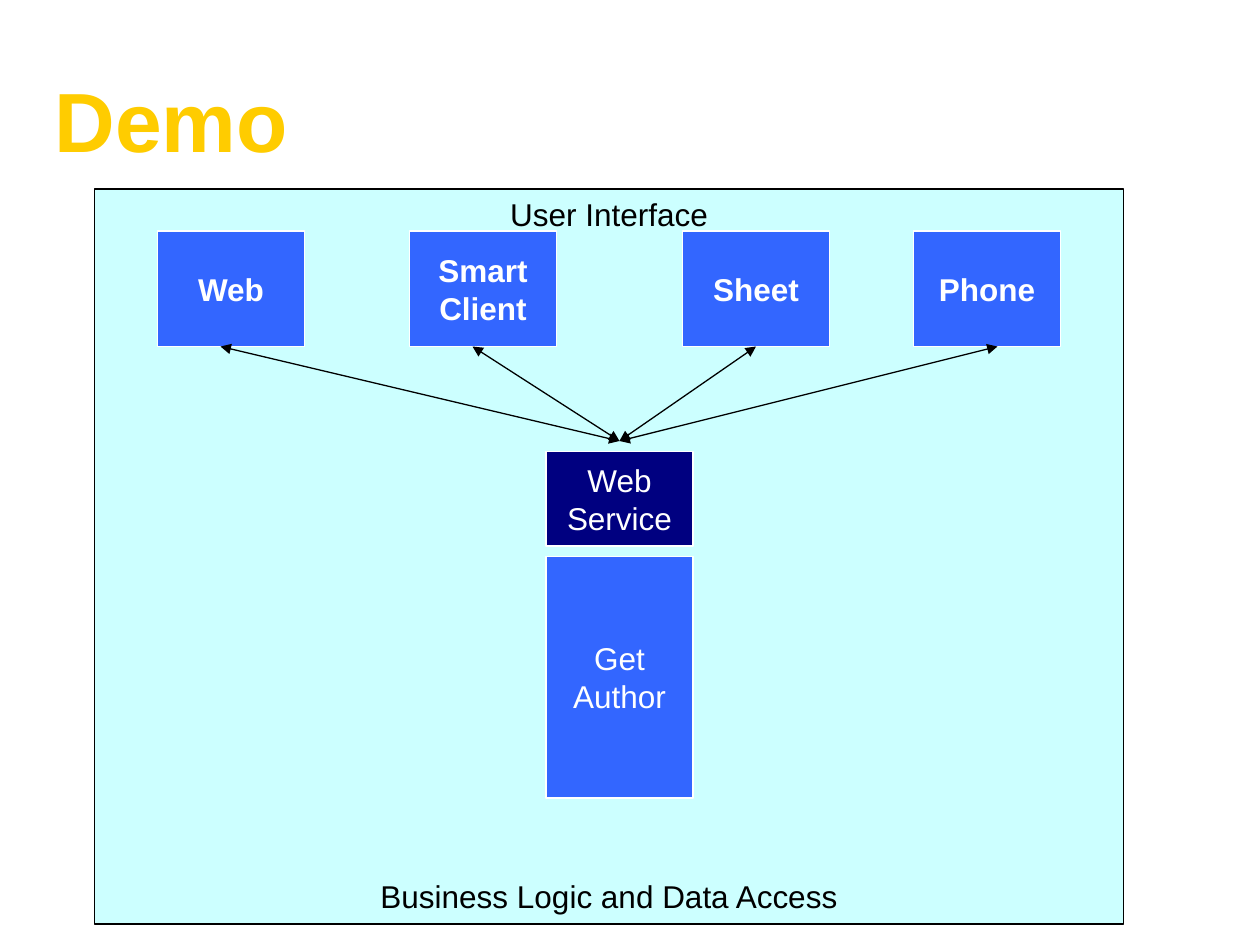
from lxml.etree import SubElement
from pptx import Presentation
from pptx.dml.color import RGBColor
from pptx.enum.shapes import MSO_CONNECTOR as CONN, MSO_SHAPE as SHAPE
from pptx.enum.text import MSO_ANCHOR as ANCHOR, PP_ALIGN as ALIGN
from pptx.oxml.ns import qn
from pptx.util import Inches, Pt

COLORS = {"title": "FFCC00", "panel": "CCFFFF", "box": "3366FF",
          "service": "000080", "black": "000000", "white": "FFFFFF"}

COLUMNS, ROWS = 120, 90
TITLE = ("Demo", (4, 7, 111.7, 11.4))
PANEL = (["User Interface", "Business Logic and Data Access"], (9, 18, 98, 70))
PANEL_GAP = Pt(368)
BOX_W, CLIENT_TOP, CLIENT_H = 14, 22, 11
CLIENTS = [
    (["Web"], 15, 21),
    (["Smart", "Client"], 39, 45),
    (["Sheet"], 65, 72),
    (["Phone"], 87, 95),
]
CORE = [
    (["Web", "Service"], "service", 43, 9),
    (["Get", "Author"], "box", 53, 23),
]
CORE_LEFT = 52
HUB = (59, 42)

prs = Presentation()
prs.slide_width, prs.slide_height = Inches(10), Inches(7.5)
s = prs.slides.add_slide(prs.slide_layouts[5])


def rgb(name):
    return RGBColor.from_string(COLORS[name])


def x(column):
    return int(prs.slide_width * column / COLUMNS)


def y(row):
    return int(prs.slide_height * row / ROWS)


def area(left, top, width, height):
    return x(left), y(top), x(width), y(height)


def style(p, color, align, **font):
    p.alignment = align
    p.font.color.rgb = rgb(color)
    for key, value in {"name": "Arial", "size": Pt(18), "bold": False, **font}.items():
        setattr(p.font, key, value)


def add_box(lines, place, fill, line="white", color="white", bold=False,
            anchor=ANCHOR.MIDDLE):
    sp = s.shapes.add_shape(SHAPE.RECTANGLE, *area(*place))
    sp.shadow.inherit = False
    sp.fill.solid()
    sp.fill.fore_color.rgb = rgb(fill)
    sp.line.color.rgb = rgb(line)
    sp.line.width = Pt(0.75)
    tf = sp.text_frame
    tf.word_wrap = False
    tf.vertical_anchor = anchor
    tf.text = "\n".join(lines)
    for p in tf.paragraphs:
        style(p, color, ALIGN.CENTER, bold=bold)
    return sp


def add_arrow(start, end):
    c = s.shapes.add_connector(CONN.STRAIGHT, x(start[0]), y(start[1]), x(end[0]), y(end[1]))
    c.line.color.rgb = rgb("black")
    c.line.width = Pt(0.75)
    ln = c.line._get_or_add_ln()
    for tag in ("a:headEnd", "a:tailEnd"):
        SubElement(ln, qn(tag), type="triangle")
    SubElement(c._element.spPr, qn("a:effectLst"))
    return c


text, place = TITLE
title = s.shapes.title
title.left, title.top, title.width, title.height = area(*place)
tf = title.text_frame
tf.text = text
tf.vertical_anchor = ANCHOR.TOP
p = tf.paragraphs[0]
p.line_spacing = 0.9
style(p, "title", ALIGN.LEFT, size=Pt(48), bold=True)

lines, place = PANEL
panel = add_box(lines, place, "panel", "black", "black", anchor=ANCHOR.TOP)
panel.text_frame.paragraphs[1].space_before = PANEL_GAP

for lines, fill, top, height in CORE:
    add_box(lines, (CORE_LEFT, top, BOX_W, height), fill)

for lines, left, tip in CLIENTS:
    box = add_box(lines, (left, CLIENT_TOP, BOX_W, CLIENT_H), "box", bold=True)
    arrow = add_arrow(HUB, (tip, CLIENT_TOP + CLIENT_H))
    if tip == left + BOX_W / 2:
        arrow.end_connect(box, 2)

prs.save("out.pptx")
